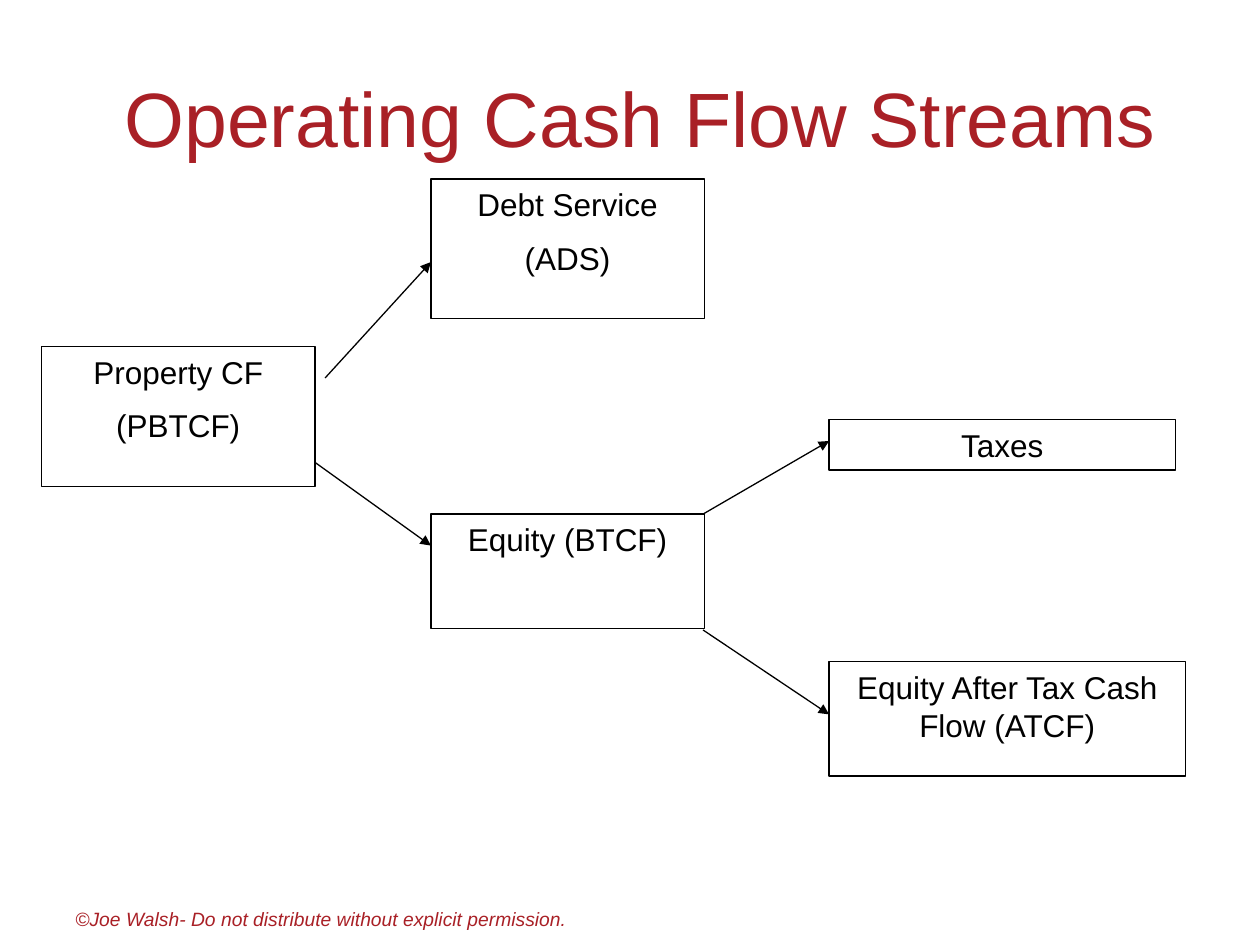
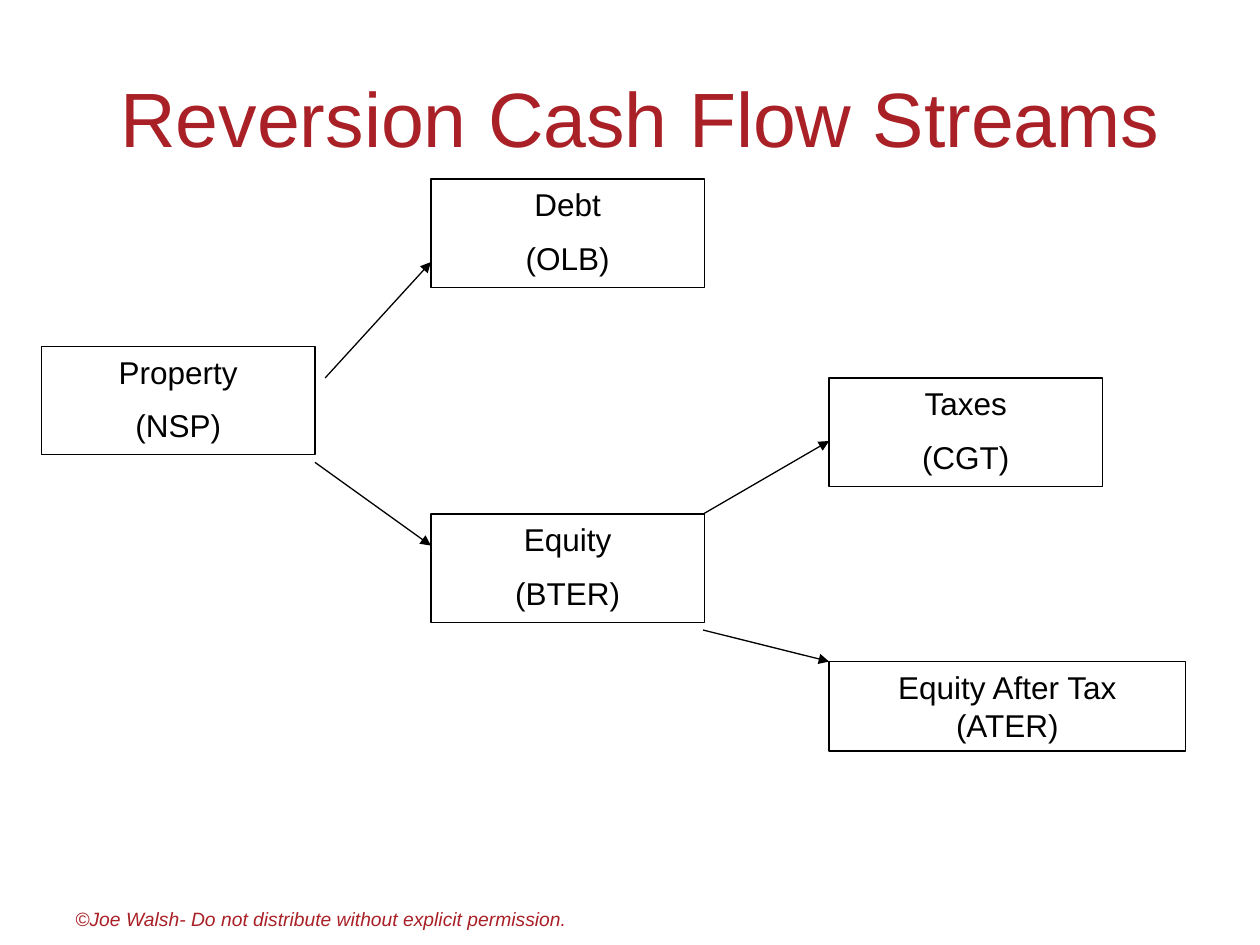
"""Build two slides that trace property cash flows to debt, equity and taxes."""
from dataclasses import dataclass

from lxml import etree
from pptx import Presentation
from pptx import util as u
from pptx.dml import color
from pptx.enum import shapes, text
from pptx.oxml import ns


@dataclass(frozen=True)
class Theme:
    font: str = "Arial"
    accent: color.RGBColor = color.RGBColor(0xA9, 0x20, 0x26)
    ink: color.RGBColor = color.RGBColor(0, 0, 0)
    title_size: int = 44
    body_size: int = 18
    footer_size: int = 11
    paragraph_gap: int = 9
    line_width: float = 0.75


@dataclass(frozen=True)
class Area:
    left: float
    top: float
    width: float
    height: float

    def lengths(self) -> tuple:
        return tuple(map(u.Inches, (self.left, self.top, self.width, self.height)))


@dataclass(frozen=True)
class Stage:
    area: Area
    paragraphs: tuple[str, ...]


@dataclass(frozen=True)
class Flow:
    start: tuple[float, float]
    end: tuple[float, float]


@dataclass(frozen=True)
class Diagram:
    title: str
    stages: tuple[Stage, ...]
    after_tax_entry: float


THEME = Theme()
TITLE_AREA = Area(0.5, 0.3, 9, 1.25)
FOOTER_AREA = Area(0.5, 7.15, 6.6, 0.35)
FOOTER = "©Joe Walsh- Do not distribute without explicit permission."
PROPERTY_X, CLAIM_X, OUTCOME_X = 0.33, 3.42, 6.58
STAGE_WIDTH, AFTER_TAX_WIDTH = 2.17, 2.83
PROPERTY_Y, DEBT_Y, EQUITY_Y, AFTER_TAX_Y = 2.75, 1.42, 4.08, 5.25
EQUITY_EXIT_X = 5.58
SHARED_FLOWS = (
    Flow((2.58, 3), (CLAIM_X, 2.08)),
    Flow((2.5, 3.67), (CLAIM_X, 4.33)),
    Flow((EQUITY_EXIT_X, EQUITY_Y), (OUTCOME_X, 3.5)),
)

DIAGRAMS = (
    Diagram(" Operating Cash Flow Streams", (
        Stage(Area(PROPERTY_X, PROPERTY_Y, STAGE_WIDTH, 1.11), ("Property CF", "(PBTCF)")),
        Stage(Area(CLAIM_X, DEBT_Y, STAGE_WIDTH, 1.11), ("Debt Service", "(ADS)")),
        Stage(Area(CLAIM_X, EQUITY_Y, STAGE_WIDTH, 0.91), ("Equity (BTCF)",)),
        Stage(Area(OUTCOME_X, 3.33, 2.75, 0.4), ("Taxes",)),
        Stage(Area(OUTCOME_X, AFTER_TAX_Y, AFTER_TAX_WIDTH, 0.91),
              ("Equity After Tax Cash Flow (ATCF)",)),
    ), 5.67),
    Diagram(" Reversion Cash Flow Streams", (
        Stage(Area(PROPERTY_X, PROPERTY_Y, STAGE_WIDTH, 0.86), ("Property", "(NSP)")),
        Stage(Area(CLAIM_X, DEBT_Y, STAGE_WIDTH, 0.86), ("Debt", "(OLB)")),
        Stage(Area(CLAIM_X, EQUITY_Y, STAGE_WIDTH, 0.86), ("Equity", "(BTER)")),
        Stage(Area(OUTCOME_X, 3, STAGE_WIDTH, 0.86), ("Taxes", "(CGT)")),
        Stage(Area(OUTCOME_X, AFTER_TAX_Y, AFTER_TAX_WIDTH, 0.71),
              ("Equity After Tax\n(ATER)",)),
    ), AFTER_TAX_Y),
)


def write(frame, paragraphs: tuple[str, ...], size: int, ink: color.RGBColor,
          align=text.PP_ALIGN.CENTER, anchor=text.MSO_ANCHOR.TOP,
          italic: bool = False) -> None:
    frame.word_wrap = True
    frame.vertical_anchor = anchor
    for index, wording in enumerate(paragraphs):
        paragraph = frame.add_paragraph() if index else frame.paragraphs[0]
        paragraph.text = wording
        paragraph.alignment = align
        if index:
            paragraph.space_before = u.Pt(THEME.paragraph_gap)
        for run in paragraph.runs:
            run.font.name = THEME.font
            run.font.size = u.Pt(size)
            run.font.color.rgb = ink
            run.font.italic = italic


def style_line(line) -> None:
    line.color.rgb = THEME.ink
    line.width = u.Pt(THEME.line_width)


def draw_stage(slide, stage: Stage) -> None:
    box = slide.shapes.add_shape(shapes.MSO_SHAPE.RECTANGLE, *stage.area.lengths())
    box.shadow.inherit = False
    box.fill.background()
    style_line(box.line)
    write(box.text_frame, stage.paragraphs, THEME.body_size, THEME.ink)


def draw_flow(slide, flow: Flow) -> None:
    ends = map(u.Inches, flow.start + flow.end)
    arrow = slide.shapes.add_connector(shapes.MSO_CONNECTOR.STRAIGHT, *ends)
    style_line(arrow.line)
    etree.SubElement(arrow.line._get_or_add_ln(), ns.qn("a:tailEnd"), type="triangle")
    etree.SubElement(arrow._element.spPr, ns.qn("a:effectLst"))


def draw_frame(slide, title: str) -> None:
    heading = slide.shapes.add_textbox(*TITLE_AREA.lengths())
    write(heading.text_frame, (title,), THEME.title_size, THEME.accent,
          anchor=text.MSO_ANCHOR.MIDDLE)
    footer = slide.shapes.add_textbox(*FOOTER_AREA.lengths())
    write(footer.text_frame, (FOOTER,), THEME.footer_size, THEME.accent,
          align=text.PP_ALIGN.LEFT, italic=True)


def draw_diagram(slide, diagram: Diagram) -> None:
    draw_frame(slide, diagram.title)
    for stage in diagram.stages:
        draw_stage(slide, stage)
    after_tax = Flow((EQUITY_EXIT_X, 5), (OUTCOME_X, diagram.after_tax_entry))
    for flow in (*SHARED_FLOWS, after_tax):
        draw_flow(slide, flow)


def main() -> None:
    deck = Presentation()
    deck.slide_width, deck.slide_height = u.Inches(10), u.Inches(7.5)
    blank = deck.slide_layouts[6]
    for diagram in DIAGRAMS:
        draw_diagram(deck.slides.add_slide(blank), diagram)
    deck.save("out.pptx")


if __name__ == "__main__":
    main()
